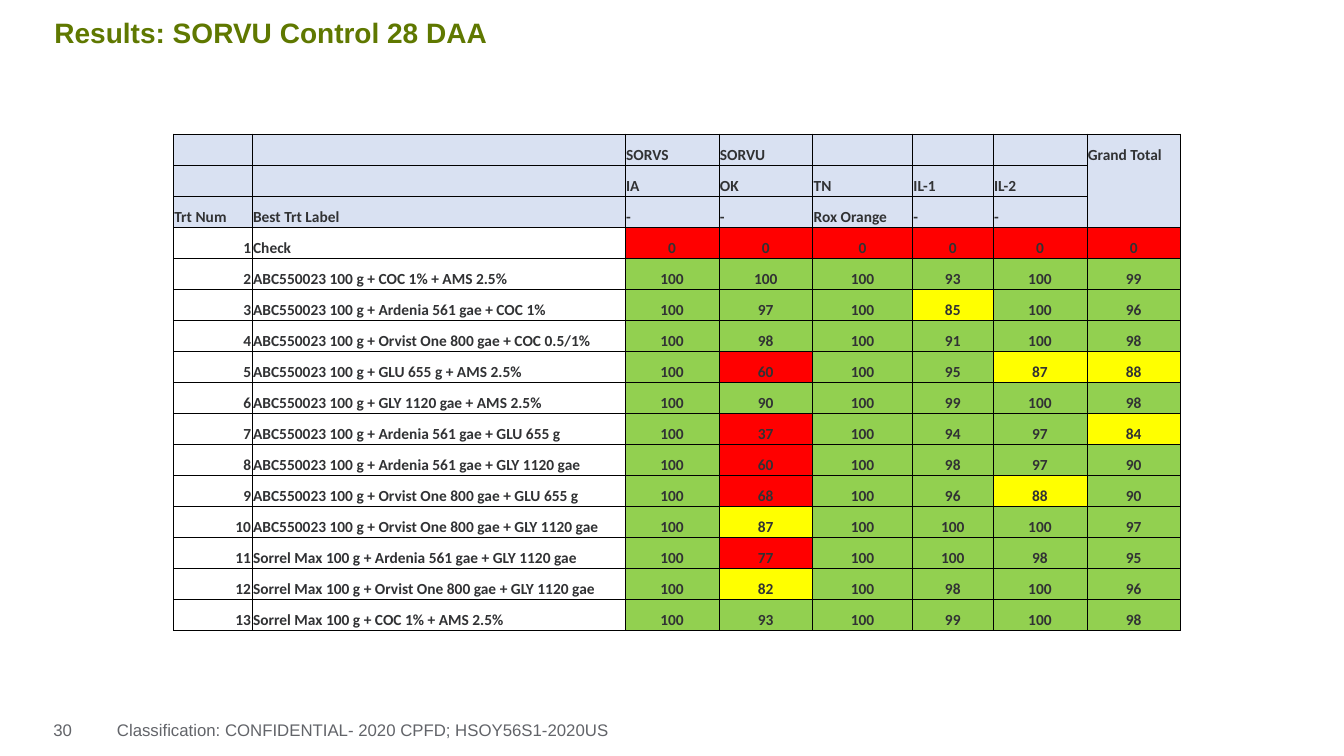
"""Build the SORVU control results slide."""
from lxml import etree
from pptx import Presentation, util as u
from pptx.dml.color import RGBColor
from pptx.enum import text
from pptx.oxml.ns import qn

COLORS = {
    "title": "5F7800", "footer": "626469", "body": "313234", "header": "D9E1F2",
    "border": "000000", "good": "92D050", "fair": "FFFF00", "poor": "FF0000",
}
COL_WIDTHS = [0.78, 3.7, 0.93, 0.93, 0.99, 0.8, 0.93, 0.93]
TABLE_HEIGHT = 4.92
HEADERS = [
    ["", "", "SORVS", "SORVU", "", "", "", "Grand Total"],
    ["", "", "IA", "OK", "TN", "IL-1", "IL-2", ""],
    ["Trt Num", "Best Trt Label", "-", "-", "Rox Orange", "-", "-", ""],
]
TREATMENTS = [
    ("Check", [0, 0, 0, 0, 0, 0]),
    ("ABC550023 100 g + COC 1% + AMS 2.5%", [100, 100, 100, 93, 100, 99]),
    ("ABC550023 100 g + Ardenia 561 gae + COC 1%", [100, 97, 100, 85, 100, 96]),
    ("ABC550023 100 g + Orvist One 800 gae + COC 0.5/1%", [100, 98, 100, 91, 100, 98]),
    ("ABC550023 100 g + GLU 655 g + AMS 2.5%", [100, 60, 100, 95, 87, 88]),
    ("ABC550023 100 g + GLY 1120 gae + AMS 2.5%", [100, 90, 100, 99, 100, 98]),
    ("ABC550023 100 g + Ardenia 561 gae + GLU 655 g", [100, 37, 100, 94, 97, 84]),
    ("ABC550023 100 g + Ardenia 561 gae + GLY 1120 gae", [100, 60, 100, 98, 97, 90]),
    ("ABC550023 100 g + Orvist One 800 gae + GLU 655 g", [100, 68, 100, 96, 88, 90]),
    ("ABC550023 100 g + Orvist One 800 gae + GLY 1120 gae", [100, 87, 100, 100, 100, 97]),
    ("Sorrel Max 100 g + Ardenia 561 gae + GLY 1120 gae", [100, 77, 100, 100, 98, 95]),
    ("Sorrel Max 100 g + Orvist One 800 gae + GLY 1120 gae", [100, 82, 100, 98, 100, 96]),
    ("Sorrel Max 100 g + COC 1% + AMS 2.5%", [100, 93, 100, 99, 100, 98]),
]


def style_run(r, font, size, color, bold=False):
    r.font.name = font
    r.font.size = u.Pt(size)
    r.font.bold = bold
    r.font.color.rgb = RGBColor.from_string(COLORS[color])


def add_text(s, box, words, size, color, insets, bold=False):
    tf = s.shapes.add_textbox(*map(u.Inches, box)).text_frame
    tf.word_wrap = True
    tf.margin_left, tf.margin_top, tf.margin_right, tf.margin_bottom = map(u.Inches, insets)
    tf.text = words
    style_run(tf.paragraphs[0].runs[0], "Arial", size, color, bold)
    return tf


def set_borders(cell, hidden):
    tc_pr = cell._tc.get_or_add_tcPr()
    for i, side in enumerate("LRTB"):
        ln = etree.Element(qn(f"a:ln{side}"), w=str(u.Pt(0.5)))
        if side in hidden:
            etree.SubElement(ln, qn("a:noFill"))
        else:
            fill = etree.SubElement(ln, qn("a:solidFill"))
            etree.SubElement(fill, qn("a:srgbClr"), val=COLORS["border"])
        tc_pr.insert(i, ln)


def fill_cell(cell, words, fill, align, hidden=""):
    cell.margin_left = cell.margin_top = cell.margin_right = u.Inches(0.01)
    cell.margin_bottom = 0
    cell.vertical_anchor = text.MSO_ANCHOR.BOTTOM
    p = cell.text_frame.paragraphs[0]
    p.alignment = align
    if words:
        p.text = words
        style_run(p.runs[0], "Calibri", 11, "body", True)
    else:
        etree.SubElement(p._p, qn("a:endParaRPr"), sz="1100")
    if fill:
        cell.fill.solid()
        cell.fill.fore_color.rgb = RGBColor.from_string(COLORS[fill])
    else:
        cell.fill.background()
    set_borders(cell, hidden)


def rating(score):
    return "good" if score >= 90 else "fair" if score >= 80 else "poor"


def add_results_table(s):
    rows, cols = len(HEADERS) + len(TREATMENTS), len(COL_WIDTHS)
    box = map(u.Inches, (1.72, 1.33, sum(COL_WIDTHS), TABLE_HEIGHT))
    table = s.shapes.add_table(rows, cols, *box).table
    table.first_row = table.horz_banding = False
    for column, width in zip(table.columns, COL_WIDTHS):
        column.width = u.Inches(width)
    for row in table.rows:
        row.height = u.Inches(TABLE_HEIGHT / rows)

    align = text.PP_ALIGN
    for i, labels in enumerate(HEADERS):
        for j, label in enumerate(labels):
            hidden = ("B", "TB", "T")[i] if j == cols - 1 else ""
            fill_cell(table.cell(i, j), label, "header", align.LEFT, hidden)
    for number, (label, scores) in enumerate(TREATMENTS, 1):
        i = len(HEADERS) + number - 1
        fill_cell(table.cell(i, 0), str(number), None, align.RIGHT)
        fill_cell(table.cell(i, 1), label, None, align.LEFT)
        for j, score in enumerate(scores, 2):
            fill_cell(table.cell(i, j), str(score), rating(score), align.CENTER)


def main():
    prs = Presentation()
    prs.slide_width, prs.slide_height = u.Inches(13.33), u.Inches(7.5)
    s = prs.slides.add_slide(prs.slide_layouts[6])
    title = add_text(s, (0.54, 0.1, 12.33, 0.49), "Results: SORVU Control 28 DAA",
                     20, "title", (0, 0, 0, 0), True)
    title.vertical_anchor = text.MSO_ANCHOR.MIDDLE
    title.paragraphs[0].line_spacing = 0.9
    add_results_table(s)
    footers = [
        ((0.43, 7.09, 0.81, 0.41), "30", 0.1),
        ((1.16, 7.09, 8.39, 0.41), "Classification: CONFIDENTIAL- 2020 CPFD; HSOY56S1-2020US", 0),
    ]
    for box, words, left in footers:
        tf = add_text(s, box, words, 12, "footer", (left, 0.05, 0.1, 0.05))
        tf.paragraphs[0].space_after = u.Pt(6)
    prs.save("out.pptx")


if __name__ == "__main__":
    main()
